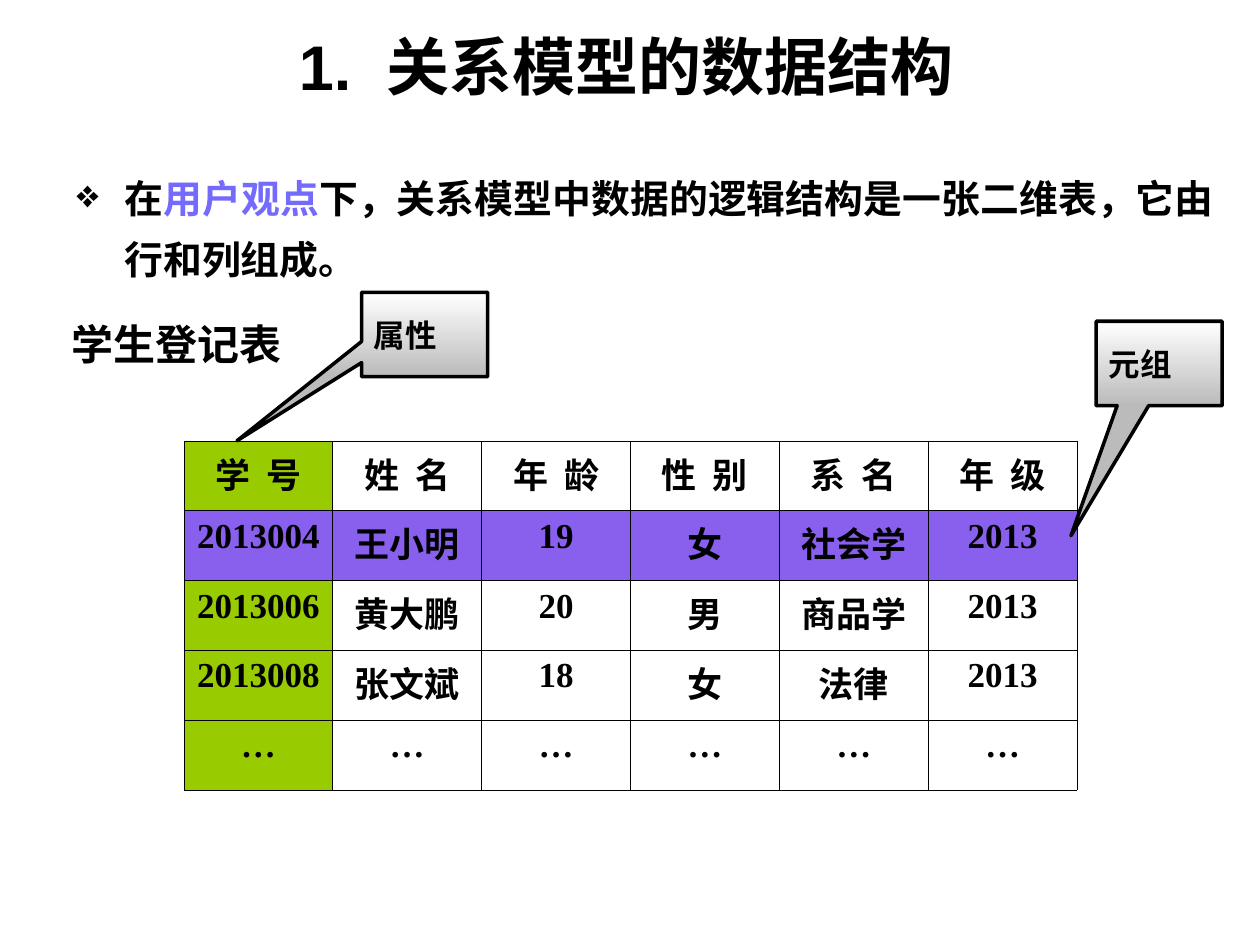
from lxml import etree
from pptx import Presentation
from pptx.dml.color import RGBColor
from pptx.enum.shapes import MSO_SHAPE
from pptx.enum.text import MSO_ANCHOR, PP_ALIGN
from pptx.oxml.ns import qn
from pptx.util import Inches, Pt

CALLOUT = MSO_SHAPE.RECTANGULAR_CALLOUT
TOP, MIDDLE = MSO_ANCHOR.TOP, MSO_ANCHOR.MIDDLE
LEFT, CENTER, JUSTIFY = PP_ALIGN.LEFT, PP_ALIGN.CENTER, PP_ALIGN.JUSTIFY

BLACK, WHITE, GREY = "000000", "FFFFFF", "BBBBBB"
GREEN, PURPLE, VIOLET = "99CC00", "8960EE", "746AFC"

STUDENTS = [
    ["学  号", "姓  名", "年  龄", "性  别", "系  名", "年  级"],
    ["2013004", "王小明", "19", "女", "社会学", "2013"],
    ["2013006", "黄大鹏", "20", "男", "商品学", "2013"],
    ["2013008", "张文斌", "18", "女", "法律", "2013"],
    ["…"] * 6,
]
TUPLE_ROW = 1
ATTRIBUTE_COLUMN = 0


def color(value):
    return RGBColor.from_string(value)


def write(para, text, size, font="Arial", ink=BLACK):
    span = para.add_run()
    span.text = text
    span.font.size = Pt(size)
    span.font.name = font
    span.font.bold = True
    span.font.color.rgb = color(ink)


def add_text(page, box, align=LEFT, anchor=TOP, wrap=True):
    frame = page.shapes.add_textbox(*map(Inches, box)).text_frame
    frame.word_wrap = wrap
    frame.vertical_anchor = anchor
    para = frame.paragraphs[0]
    para.alignment = align
    return para


def add_title(page, box):
    write(add_text(page, box, CENTER, MIDDLE), "1.  关系模型的数据结构", 36)


def add_statement(page, box):
    para = add_text(page, box, JUSTIFY)
    para.line_spacing = 1.3
    para.space_before = Pt(6)
    # Hanging bullet
    props = para._p.get_or_add_pPr()
    props.set("marL", str(Inches(0.38)))
    props.set("indent", str(Inches(-0.38)))
    etree.SubElement(props, qn("a:buChar")).set("char", "❖")
    write(para, "在", 22.2)
    write(para, "用户观点", 22.2, ink=VIOLET)
    write(para, "下，关系模型中数据的逻辑结构是一张二维表，它由行和列组成。", 22.2)


def add_borders(cell):
    props = cell._tc.get_or_add_tcPr()
    for index, side in enumerate(("a:lnL", "a:lnR", "a:lnT", "a:lnB")):
        line = etree.Element(qn(side), w=str(Pt(0.45)))
        fill = etree.SubElement(line, qn("a:solidFill"))
        etree.SubElement(fill, qn("a:srgbClr")).set("val", BLACK)
        props.insert(index, line)


def add_student_table(page, box):
    rows, columns = len(STUDENTS), len(STUDENTS[0])
    table = page.shapes.add_table(rows, columns, *map(Inches, box)).table
    table.first_row = table.horz_banding = False
    for r, record in enumerate(STUDENTS):
        for c, text in enumerate(record):
            cell = table.cell(r, c)
            cell.margin_left = cell.margin_right = Inches(0.05)
            if r == TUPLE_ROW or c == ATTRIBUTE_COLUMN:
                cell.fill.solid()
                cell.fill.fore_color.rgb = color(PURPLE if r == TUPLE_ROW else GREEN)
            else:
                cell.fill.background()
            add_borders(cell)
            para = cell.text_frame.paragraphs[0]
            para.alignment = CENTER
            write(para, text, 20, "Times New Roman")


def add_callout(page, box, text, tip):
    shape = page.shapes.add_shape(CALLOUT, *map(Inches, box))
    shape.shadow.inherit = False
    shape.adjustments[0], shape.adjustments[1] = tip
    shape.fill.gradient()
    shape.fill.gradient_angle = 270
    for stop, shade in zip(shape.fill.gradient_stops, (WHITE, GREY)):
        stop.color.rgb = color(shade)
    shape.line.color.rgb = color(BLACK)
    shape.line.width = Pt(2)
    shape.text_frame.vertical_anchor = MIDDLE
    para = shape.text_frame.paragraphs[0]
    para.alignment = LEFT
    write(para, text, 18)


def main():
    deck = Presentation()
    deck.slide_width, deck.slide_height = Inches(10), Inches(7.5)
    page = deck.slides.add_slide(deck.slide_layouts[6])

    # Heading and definition
    add_title(page, (0.93, 0.21, 8.08, 0.62))
    add_statement(page, (0.51, 1.23, 9.23, 1.1))

    # Table with its caption
    add_student_table(page, (1.46, 3.5, 7.09, 2.77))
    caption = add_text(page, (0.47, 2.48, 2.61, 0.5), wrap=False)
    write(caption, "学生登记表", 24)

    # Callouts pointing at a column and a row
    add_callout(page, (2.87, 2.32, 1, 0.67), "属性", (-1.49, 1.26))
    add_callout(page, (8.7, 2.55, 1, 0.67), "元组", (-0.7, 2.04))

    deck.save("out.pptx")


if __name__ == "__main__":
    main()
